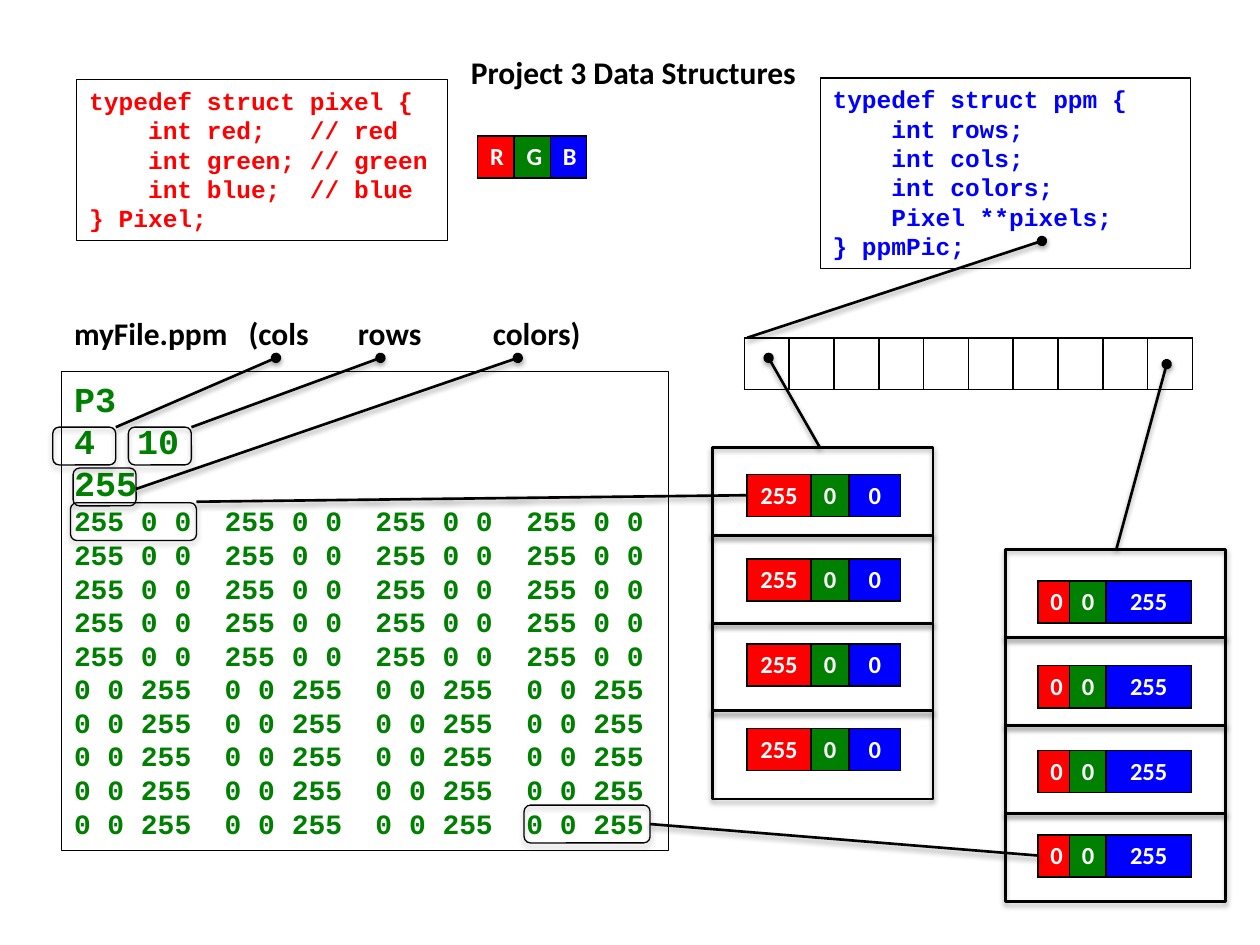
"""Build the Project 3 data structures slide."""
from dataclasses import dataclass

from lxml.etree import SubElement
from pptx import Presentation
from pptx.dml.color import RGBColor
from pptx.enum.shapes import MSO_CONNECTOR, MSO_SHAPE
from pptx.enum.text import MSO_AUTO_SIZE, PP_ALIGN
from pptx.oxml.ns import qn
from pptx.util import Pt

BLACK, WHITE = "000000", "FFFFFF"
RED, GREEN, BLUE = "FF0000", "008000", "0000FF"
CODE, BODY = "Courier New", "Calibri"


@dataclass(frozen=True)
class TextBlock:
    left: float
    top: float
    width: float
    height: float
    text: str
    size: float = 18
    font: str = BODY
    color: str = BLACK
    framed: bool = False
    wrap: bool = True


@dataclass(frozen=True)
class PixelRow:
    left: float
    top: float
    values: tuple
    widths: tuple
    box_left: float
    box_top: float


@dataclass(frozen=True)
class Link:
    x1: float
    y1: float
    x2: float
    y2: float
    dot: bool = True


STRUCTS = (
    TextBlock(43.9, 45.4, 211.7, 92.2, "typedef struct pixel {\n    int red;   // red\n"
              "    int green; // green\n    int blue;  // blue\n} Pixel;", 14, CODE, RED, True),
    TextBlock(468.7, 44.6, 211.7, 108.7, "typedef struct ppm {\n    int rows;\n    int cols;\n"
              "    int colors;\n    Pixel **pixels;\n} ppmPic;", 14, CODE, BLUE, True),
)
TITLE = TextBlock(262, 26.6, 203, 28.8, "Project 3 Data Structures", wrap=False)
FILE_LABEL = TextBlock(35.2, 175.7, 325.4, 28.8, "myFile.ppm\t(cols\trows\tcolors)")
FILE_HEADER = TextBlock(35.2, 212.4, 347, 273.6, "P3\n4  10\n255", 20, CODE, GREEN, True)
FILE_ROWS = ["  ".join([pixel] * 4) for pixel in ("255 0 0", "0 0 255") for _ in range(5)]

PIXEL_ROWS = (
    PixelRow(426.8, 271.1, ("255", "0", "0"), (36.7, 21.6, 29.5), 407.2, 255.6),
    PixelRow(593, 332, ("0", "0", "255"), (18, 20.9, 49), 574.4, 314),
)
PIXEL_STEP, BOX_STEP = 48.4, 50.2

HIGHLIGHTS = ((30.2, 244.1, 36), (73.4, 244.1, 36), (41.8, 267.5, 36),
              (40.3, 287.3, 72), (299.5, 460.1, 72))
LINKS = (
    Link(157.7, 204.5, 66.2, 244.1), Link(217.4, 204.5, 109.4, 244.1),
    Link(295.9, 204.5, 77.8, 279.4), Link(595.4, 137.7, 427, 193),
    Link(439.2, 204.5, 468.7, 256), Link(666.7, 208.1, 637.9, 314),
    Link(427, 283, 112.3, 286.7, False), Link(593.3, 488.9, 371.5, 470.9, False),
)


def rgb(value: str) -> RGBColor:
    """Return the colour for a hex string."""
    return RGBColor.from_string(value)


def write(tf, text: str, *, size: float = 14, font: str = BODY, color: str = WHITE,
          align=PP_ALIGN.LEFT) -> None:
    """Add bold lines of text to a text frame."""
    for line in text.split("\n"):
        p = tf.paragraphs[0] if not tf.text else tf.add_paragraph()
        p.alignment = align
        r = p.add_run()
        r.text = line
        r.font.size, r.font.name, r.font.bold = Pt(size), font, True
        r.font.color.rgb = rgb(color)


def stroke(line, width: float) -> None:
    """Give an outline its black colour and width."""
    line.color.rgb = rgb(BLACK)
    line.width = Pt(width)


def cast_shadow(effects, alpha: int, dist: float) -> None:
    """Add a soft downward shadow to an effect list."""
    shadow = SubElement(effects, qn("a:outerShdw"), blurRad=str(Pt(3.1)), dist=str(Pt(dist)),
                        dir="5400000", rotWithShape="0")
    clr = SubElement(shadow, qn("a:srgbClr"), val=BLACK)
    SubElement(clr, qn("a:alpha"), val=str(alpha * 1000))


def add_block(shapes, block: TextBlock):
    """Draw a text block and return its text frame."""
    sp = shapes.add_textbox(Pt(block.left), Pt(block.top), Pt(block.width), Pt(block.height))
    if block.framed:
        stroke(sp.line, 0.75)
    tf = sp.text_frame
    tf.word_wrap = block.wrap
    tf.auto_size = MSO_AUTO_SIZE.SHAPE_TO_FIT_TEXT
    write(tf, block.text, size=block.size, font=block.font, color=block.color)
    return tf


def set_tabs(p, stops: tuple) -> None:
    """Set left tab stops on a paragraph."""
    tabs = SubElement(p._p.get_or_add_pPr(), qn("a:tabLst"))
    for stop in stops:
        SubElement(tabs, qn("a:tab"), pos=str(Pt(stop)), algn="l")


def add_cells(shapes, left: float, top: float, height: float, widths: tuple,
              values: tuple, fills: tuple) -> None:
    """Draw a one-row table with black borders."""
    frame = shapes.add_table(1, len(widths), Pt(left), Pt(top), Pt(sum(widths)), Pt(height))
    table = frame.table
    table.first_row = table.horz_banding = False
    for column, cell, width, value, fill in zip(table.columns, table.rows[0].cells,
                                                widths, values, fills):
        column.width = Pt(width)
        tcPr = cell._tc.get_or_add_tcPr()
        for side in ("lnL", "lnR", "lnT", "lnB"):
            ln = SubElement(tcPr, qn(f"a:{side}"), w=str(Pt(1)))
            SubElement(SubElement(ln, qn("a:solidFill")), qn("a:srgbClr"), val=BLACK)
        cell.fill.solid()
        cell.fill.fore_color.rgb = rgb(fill)
        if value:
            write(cell.text_frame, value, align=PP_ALIGN.CENTER)


def add_outline(shapes, kind, left: float, top: float, width: float, height: float,
                weight: float) -> None:
    """Draw an unfilled shape with a shadow."""
    sp = shapes.add_shape(kind, Pt(left), Pt(top), Pt(width), Pt(height))
    sp.fill.background()
    stroke(sp.line, weight)
    sp.shadow.inherit = False
    cast_shadow(sp._element.spPr.find(qn("a:effectLst")), 35, 1.8)


def add_link(shapes, link: Link) -> None:
    """Draw a pointer line, with a dot at its start if asked."""
    sp = shapes.add_connector(MSO_CONNECTOR.STRAIGHT, Pt(link.x1), Pt(link.y1),
                              Pt(link.x2), Pt(link.y2))
    stroke(sp.line, 1.5)
    spPr = sp._element.spPr
    if link.dot:
        SubElement(spPr.find(qn("a:ln")), qn("a:headEnd"), type="oval")
    cast_shadow(SubElement(spPr, qn("a:effectLst")), 38, 1.6)


def main() -> None:
    """Build and save the slide."""
    prs = Presentation()
    prs.slide_width, prs.slide_height = Pt(720), Pt(540)
    s = prs.slides.add_slide(prs.slide_layouts[6])
    shapes = s.shapes

    write(add_block(shapes, FILE_HEADER), "\n".join(FILE_ROWS), size=16, font=CODE, color=GREEN)
    for block in (*STRUCTS, TITLE):
        add_block(shapes, block)
    set_tabs(add_block(shapes, FILE_LABEL).paragraphs[0], (99.8, 162.2, 239.3))

    add_cells(shapes, 272.9, 77.8, 24, (20.8,) * 3, tuple("RGB"), (RED, GREEN, BLUE))
    add_cells(shapes, 425.4, 193, 29.5, (25.6,) * 10, ("",) * 10, (WHITE,) * 10)
    for row in PIXEL_ROWS:
        group = shapes.add_group_shape()
        for i in range(4):
            add_cells(shapes, row.left, row.top + i * PIXEL_STEP, 24, row.widths,
                      row.values, (RED, GREEN, BLUE))
            add_outline(group.shapes, MSO_SHAPE.FLOWCHART_PROCESS, row.box_left,
                        row.box_top + i * BOX_STEP, 126, 50.4, 1.5)

    for left, top, width in HIGHLIGHTS:
        add_outline(shapes, MSO_SHAPE.ROUNDED_RECTANGLE, left, top, width, 21.6, 0.75)
    for link in LINKS:
        add_link(shapes, link)
    prs.save("out.pptx")


if __name__ == "__main__":
    main()
